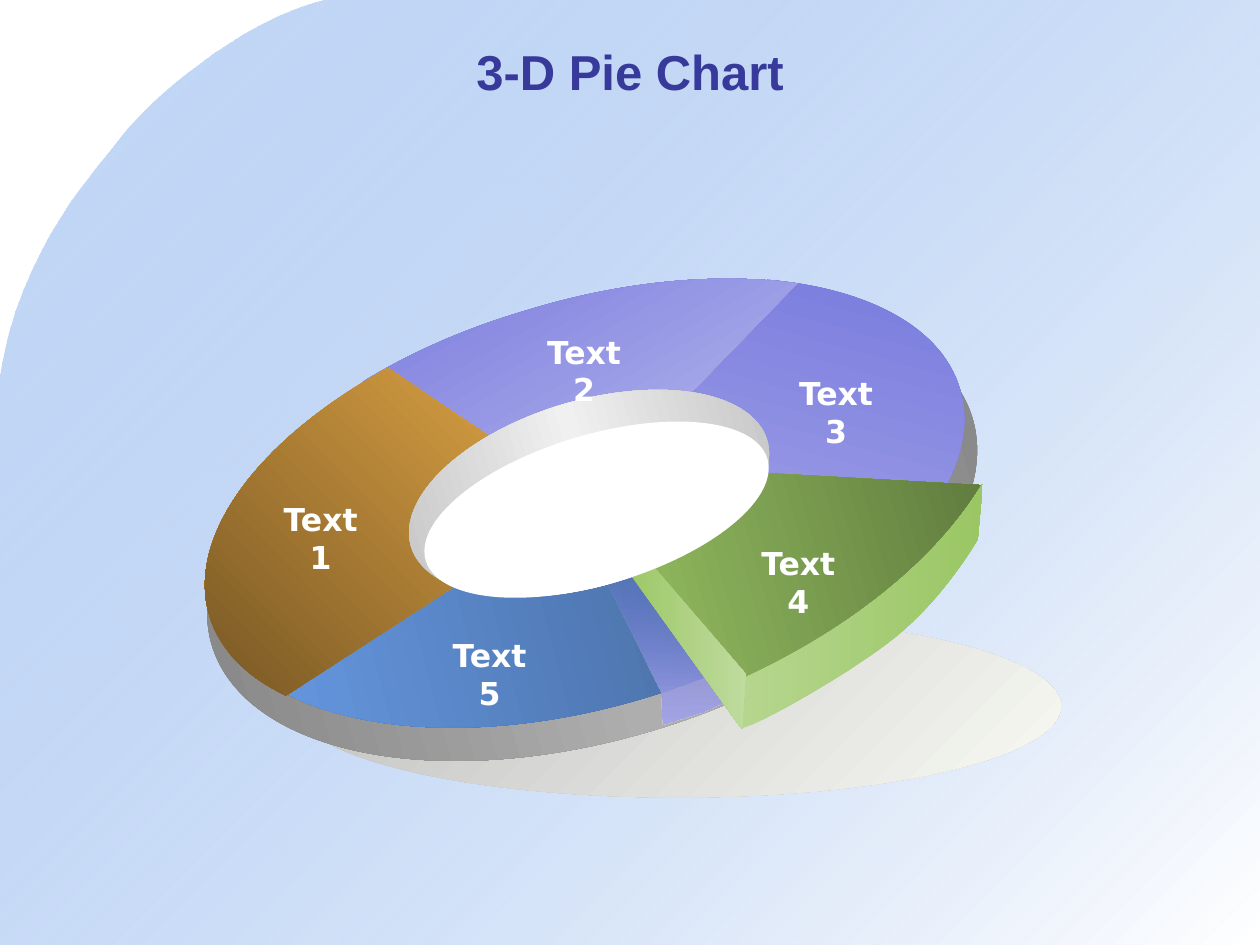
from math import cos, radians, sin

from lxml.etree import SubElement as Sub
from pptx import Presentation
from pptx.dml.color import RGBColor as RGB
from pptx.enum.shapes import MSO_SHAPE as Form
from pptx.enum.text import MSO_ANCHOR as Anchor, PP_ALIGN as Align
from pptx.oxml.ns import qn
from pptx.util import Inches, Pt

WHITE = RGB(0xFF, 0xFF, 0xFF)
NAVY = RGB(0x37, 0x39, 0x9B)
SKY = RGB(0x69, 0x9D, 0xE9)
SILVER = RGB(0xC0, 0xC0, 0xC0)
PEARL = RGB(0xF0, 0xF0, 0xF0)
CREAM = RGB(0xF7, 0xF9, 0xF2)
GREY = RGB(0x80, 0x80, 0x80)
ASH = RGB(0xAE, 0xAE, 0xAE)
TEAL = RGB(0x27, 0x91, 0xBB)
BLACK = RGB(0, 0, 0)
GOLD = RGB(0xEF, 0xB0, 0x49)
BROWN = RGB(0x6F, 0x51, 0x22)
IRIS = RGB(0x74, 0x76, 0xDC)
LILAC = RGB(0xA2, 0xA4, 0xE8)
MAUVE = RGB(0xA7, 0xA8, 0xE9)
HAZE = RGB(0xC4, 0xC5, 0xF0)
STEEL = RGB(0x49, 0x6E, 0xA3)
LIME = RGB(0x9A, 0xC6, 0x64)
MINT = RGB(0xB6, 0xD6, 0x8F)
PALE = RGB(0xBF, 0xDB, 0x9D)
MOSS = RGB(0x59, 0x72, 0x3A)
TILT = 343.4
STEPS = 24


def paint(shape, colors, angle=0, alpha=None):
    """Fill a shape with evenly spaced colours; alpha is the first one's opacity."""
    shape.shadow.inherit = False
    shape.line.fill.background()
    if len(colors) == 1:
        shape.fill.solid()
        shape.fill.fore_color.rgb = colors[0]
        return
    shape.fill.gradient()
    shape.fill.gradient_angle = (360 - angle) % 360
    stops = shape._element.spPr.find(qn("a:gradFill")).find(qn("a:gsLst"))
    for stop in list(stops):
        stops.remove(stop)
    for i, color in enumerate(colors):
        stop = Sub(stops, qn("a:gs"), pos=str(100000 * i // (len(colors) - 1)))
        node = Sub(stop, qn("a:srgbClr"), val=str(color))
        if alpha and i == 0:
            Sub(node, qn("a:alpha"), val=str(alpha * 1000))


def spin(point, turn):
    """Turn a point clockwise about the page corner."""
    (x, y), a = point, radians(turn)
    return x * cos(a) - y * sin(a), x * sin(a) + y * cos(a)


def blend(knots, t):
    """Return the point at t on a cubic curve."""
    u = 1 - t
    rates = (u**3, 3 * u * u * t, 3 * u * t * t, t**3)
    return tuple(sum(r * k[i] for r, k in zip(rates, knots)) for i in (0, 1))


def patch(slide, box, parts, colors, angle=0, alpha=None, turn=0):
    """Draw a closed outline; a part is a point or the three points of a curve."""
    runs = [[spin((Inches(box[0] + x), Inches(box[1] + y)), -turn) for x, y in
             (part if isinstance(part[0], tuple) else [part])] for part in parts]
    spots = []
    for run in runs:
        spots += run if len(run) == 1 else [
            blend([spots[-1], *run], i / STEPS) for i in range(1, STEPS + 1)]
    pen = slide.shapes.build_freeform(*spots[0])
    pen.add_line_segments(spots[1:], close=True)
    shape = pen.convert_to_shape()
    trail = shape._element.spPr.find(".//" + qn("a:path"))
    for node in list(trail):
        trail.remove(node)
    for i, run in enumerate(runs):
        kind = "moveTo" if i == 0 else "lnTo" if len(run) == 1 else "cubicBezTo"
        step = Sub(trail, qn("a:" + kind))
        for x, y in run:
            Sub(step, qn("a:pt"), x=str(round(x - shape.left)), y=str(round(y - shape.top)))
    Sub(trail, qn("a:close"))
    half = shape.width / 2, shape.height / 2
    x, y = spin((shape.left + half[0], shape.top + half[1]), turn)
    shape.left, shape.top = round(x - half[0]), round(y - half[1])
    shape.rotation = turn
    paint(shape, colors, angle, alpha)


def oval(slide, box, at, colors, angle=0, turn=TILT):
    """Draw a turned ellipse within the box."""
    x, y, w, h = at
    shape = slide.shapes.add_shape(
        Form.OVAL, Inches(box[0] + x), Inches(box[1] + y), Inches(w), Inches(h))
    shape.rotation = turn
    paint(shape, colors, angle)


def write(frame, text, size=18, font="DejaVu Sans", color=WHITE, anchor=Anchor.TOP):
    """Put centred bold text into a frame."""
    frame.word_wrap = True
    frame.vertical_anchor = anchor
    line = frame.paragraphs[0]
    line.alignment = Align.CENTER
    run = line.add_run()
    run.text = text
    run.font.size, run.font.name, run.font.bold = Pt(size), font, True
    run.font.color.rgb = color


def label(slide, box, x, y, text):
    """Place a segment label."""
    area = slide.shapes.add_textbox(
        Inches(box[0] + x), Inches(box[1] + y), Inches(0.89), Inches(0.4))
    write(area.text_frame, text)


def backdrop(slide, box):
    """Draw the sky panel with its swept corner."""
    w, h = box[2:]
    patch(slide, box, [
        (2.58, 0), ((1.9, 0.16), (1.16, 0.83), (0.98, 1.07)),
        ((0.8, 1.32), (0.16, 1.94), (0, 3.01)), (0, h), (w, h), (w, 0),
    ], [SKY, WHITE], 45, 39)


def ring(slide, box):
    """Draw the tilted ring with its shadow, wall and four flat segments."""
    oval(slide, box, (2.34, 4.88, 6.08, 1.45), [SILVER, CREAM], 45, 0)
    oval(slide, box, (1.55, 2.57, 6.3, 3.3), [GREY, ASH, GREY])
    oval(slide, box, (1.61, 2.4, 6.08, 3.2), [TEAL, BLACK], 62)
    hub = (4.65, 3.98)
    for arc, colors, angle in [
        ([(6.09, 2.22), ((6.91, 2.29), (7.48, 2.61), (7.62, 3.09)),
          ((7.71, 3.39), (7.62, 3.73), (7.37, 4.08))], [IRIS, MAUVE], 122),
        ([(1.77, 5.05), ((2.18, 5.78), (3.62, 5.99), (5.12, 5.54)),
          ((5.29, 5.49), (5.45, 5.43), (5.61, 5.37))], [STEEL, SKY], 182),
        ([(2.88, 3.03), ((3.27, 2.79), (3.71, 2.6), (4.19, 2.46)),
          ((4.94, 2.23), (5.7, 2.16), (6.33, 2.25))], [IRIS, HAZE], 77),
        ([(3.08, 2.92), ((2.04, 3.49), (1.48, 4.26), (1.66, 4.88)),
          ((1.74, 5.15), (1.95, 5.37), (2.27, 5.52))], [GOLD, BROWN], 152),
    ]:
        patch(slide, box, [*arc, hub], colors, angle, turn=TILT)
    oval(slide, box, (3.2, 3.18, 2.95, 1.47), [SILVER, PEARL, SILVER])
    for x, y, text in [(2.1, 3.92, "Text1"), (4.19, 2.59, "Text2"),
                       (6.19, 2.92, "Text3"), (3.44, 5, "Text5")]:
        label(slide, box, x, y, text)


def wedge(slide, box):
    """Draw the pulled-out green segment, the gap beside it and the hole."""
    patch(slide, box, [
        (4.81, 4.6), (5.25, 5.49), (5.26, 5.75), (5.58, 5.65),
        (5.75, 5.57), (5, 4.57)], [IRIS, LILAC], 90, 19)
    patch(slide, box, [
        (5.89, 5.38), (7.8, 3.84), (7.76, 4.28), ((7.64, 4.48), (7.41, 4.81), (7.1, 5.06)),
        ((6.79, 5.31), (6.09, 5.72), (5.89, 5.78)),
        ((5.86, 5.64), (5.89, 5.38), (5.89, 5.38))], [MINT, LIME])
    patch(slide, box, [
        (7.78, 3.85), ((7.41, 4.46), (6.69, 5.03), (5.8, 5.42)),
        (4.6, 3.67)], [LIME, MOSS], 2, turn=342.3)
    patch(slide, box, [
        (5.92, 5.35), (5.89, 5.79), (4.91, 4.43), (5.07, 4.36)], [LIME, PALE])
    oval(slide, box, (3.32, 3.45, 2.83, 1.19), [WHITE])
    label(slide, box, 5.89, 4.27, "Text4")


def heading(slide, box):
    """Format the title placeholder and bring it to the front."""
    title = slide.shapes.title
    title.left, title.top, title.width, title.height = map(Inches, box)
    write(title.text_frame, "3-D Pie Chart", 28, "Arial", NAVY, Anchor.MIDDLE)
    slide.shapes._spTree.append(title._element)


def main():
    """Build the slide and save it."""
    deck = Presentation()
    page = (0, 0, 10, 7.5)
    deck.slide_width, deck.slide_height = map(Inches, page[2:])
    slide = deck.slides.add_slide(deck.slide_layouts[5])
    for draw in (backdrop, ring, wedge):
        draw(slide, page)
    heading(slide, (0.5, 0.25, 9, 0.62))
    deck.save("out.pptx")


if __name__ == "__main__":
    main()
